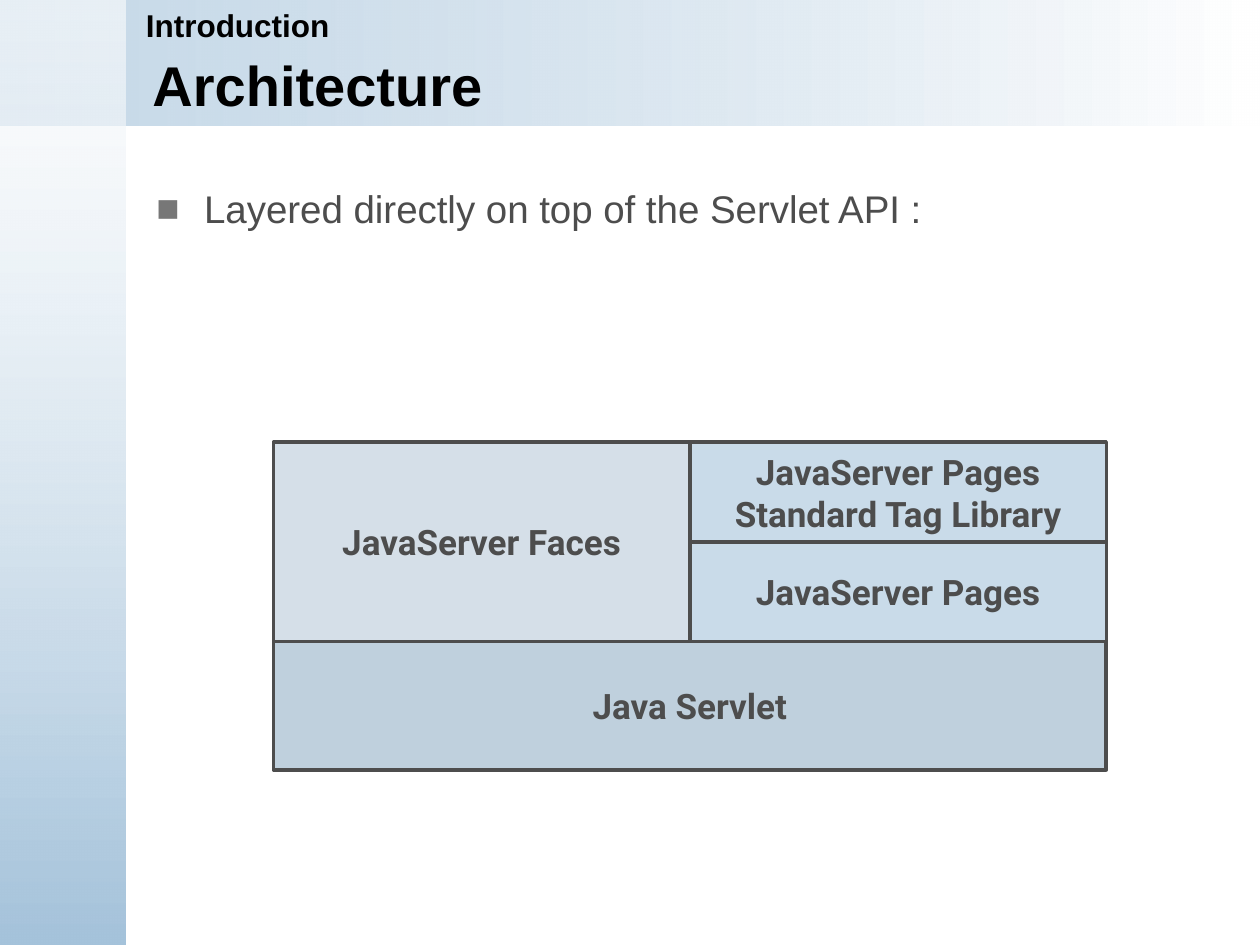
from dataclasses import dataclass

from lxml.etree import SubElement
from pptx import Presentation
from pptx.dml.color import RGBColor
from pptx.enum.shapes import MSO_SHAPE
from pptx.enum.text import MSO_ANCHOR, MSO_AUTO_SIZE, PP_ALIGN
from pptx.oxml.ns import qn
from pptx.util import Inches, Pt


@dataclass(frozen=True)
class Theme:
    heading: str = "000000"
    ink: str = "4D4D4D"
    bullet: str = "777777"
    band: str = "A5C3DB"
    white: str = "FFFFFF"
    servlet: str = "BFD0DD"
    faces: str = "D5DFE8"
    pages: str = "C9DBE9"
    text_font: str = "Arial"
    layer_font: str = "Roboto"
    title_size: int = 32
    body_size: int = 22
    layer_size: int = 20
    section_size: int = 18


@dataclass(frozen=True)
class Band:
    width: float
    height: float
    start: str
    end: str
    opacity: int  # of the start colour, in percent
    angle: int  # counter-clockwise


@dataclass(frozen=True)
class Layer:
    lines: tuple[str, ...]
    left: float
    top: float
    width: float
    height: float
    fill: str


THEME = Theme()

BANDS = (
    Band(10, 1, THEME.band, THEME.white, 62, 0),
    Band(1, 7.5, THEME.white, THEME.band, 59, 270),
)

# The upper layers share a half-width, half-height grid
LEFT, TOP, HALF, ROW = 2.17, 3.51, 3.305, 0.79
BASE_TOP = TOP + 2 * ROW
LAYERS = (
    Layer(("Java Servlet",), LEFT, BASE_TOP, 2 * HALF, 1.02, THEME.servlet),
    Layer(("JavaServer Faces",), LEFT, TOP, HALF, 2 * ROW, THEME.faces),
    Layer(("JavaServer Pages",), LEFT + HALF, TOP + ROW, HALF, ROW, THEME.pages),
    Layer(("JavaServer Pages", "Standard Tag Library"),
          LEFT + HALF, TOP, HALF, ROW, THEME.pages),
)


def color(value: str) -> RGBColor:
    return RGBColor.from_string(value)


def place(box, left: float, top: float, width: float, height: float) -> None:
    box.left, box.top = Inches(left), Inches(top)
    box.width, box.height = Inches(width), Inches(height)


def style(paragraph, name: str, size: int, ink: str, bold: bool = False) -> None:
    font = paragraph.font
    font.name, font.size, font.bold = name, Pt(size), bold
    font.color.rgb = color(ink)


def add_rectangle(page, left: float, top: float, width: float, height: float):
    box = page.shapes.add_shape(MSO_SHAPE.RECTANGLE, Inches(left), Inches(top),
                                Inches(width), Inches(height))
    box.shadow.inherit = False
    return box


def add_band(page, band: Band, depth: int) -> None:
    box = add_rectangle(page, 0, 0, band.width, band.height)
    box.line.fill.background()
    box.fill.gradient()
    box.fill.gradient_angle = band.angle
    stops = box.fill.gradient_stops
    for stop, value, position in zip(stops, (band.start, band.end), (0, 1)):
        stop.color.rgb = color(value)
        stop.position = position
    start = next(box._element.iter(qn("a:srgbClr")))
    SubElement(start, qn("a:alpha"), val=str(band.opacity * 1000))
    # Bands lie behind the placeholders
    page.shapes._spTree.insert(2 + depth, box._element)


def add_layer(page, layer: Layer) -> None:
    box = add_rectangle(page, layer.left, layer.top, layer.width, layer.height)
    box.fill.solid()
    box.fill.fore_color.rgb = color(layer.fill)
    box.line.color.rgb = color(THEME.ink)
    box.line.width = Pt(2)
    frame = box.text_frame
    frame.vertical_anchor = MSO_ANCHOR.MIDDLE
    frame.text = "\n".join(layer.lines)
    for paragraph in frame.paragraphs:
        paragraph.alignment = PP_ALIGN.CENTER
        style(paragraph, THEME.layer_font, THEME.layer_size, THEME.ink, bold=True)


def add_bullet(paragraph) -> None:
    properties = paragraph._p.get_or_add_pPr()
    indent = Inches(0.38)
    properties.set("marL", str(indent))
    properties.set("indent", str(-indent))
    bullet_color = SubElement(properties, qn("a:buClr"))
    SubElement(bullet_color, qn("a:srgbClr"), val=THEME.bullet)
    SubElement(properties, qn("a:buFont"), typeface=THEME.text_font)
    SubElement(properties, qn("a:buChar"), char="■")


def main() -> None:
    deck = Presentation()
    deck.slide_width, deck.slide_height = Inches(10), Inches(7.5)
    page = deck.slides.add_slide(deck.slide_layouts[1])

    # Background bands
    for depth, band in enumerate(BANDS):
        add_band(page, band, depth)

    # Title
    title = page.shapes.title
    place(title, 1.11, 0.21, 8.45, 0.92)
    title.text_frame.text = "Architecture"
    title.text_frame.auto_size = MSO_AUTO_SIZE.NONE
    title.text_frame.vertical_anchor = MSO_ANCHOR.MIDDLE
    heading = title.text_frame.paragraphs[0]
    heading.alignment = PP_ALIGN.LEFT
    style(heading, THEME.text_font, THEME.title_size, THEME.heading, bold=True)

    # Body list
    body = page.placeholders[1]
    place(body, 1.14, 1.42, 8.44, 5.08)
    body.text_frame.text = "Layered directly on top of the Servlet API :"
    body.text_frame.auto_size = MSO_AUTO_SIZE.NONE
    item = body.text_frame.paragraphs[0]
    item.space_before = Pt(0)
    add_bullet(item)
    style(item, THEME.text_font, THEME.body_size, THEME.ink)

    # Section name
    section = page.shapes.add_textbox(Inches(1.06), 0, Inches(8.94), Inches(0.4))
    section.text_frame.word_wrap = True
    section.text_frame.text = "Introduction"
    style(section.text_frame.paragraphs[0], THEME.text_font,
          THEME.section_size, THEME.heading, bold=True)

    # Layer diagram
    for layer in LAYERS:
        add_layer(page, layer)

    deck.save("out.pptx")


if __name__ == "__main__":
    main()
